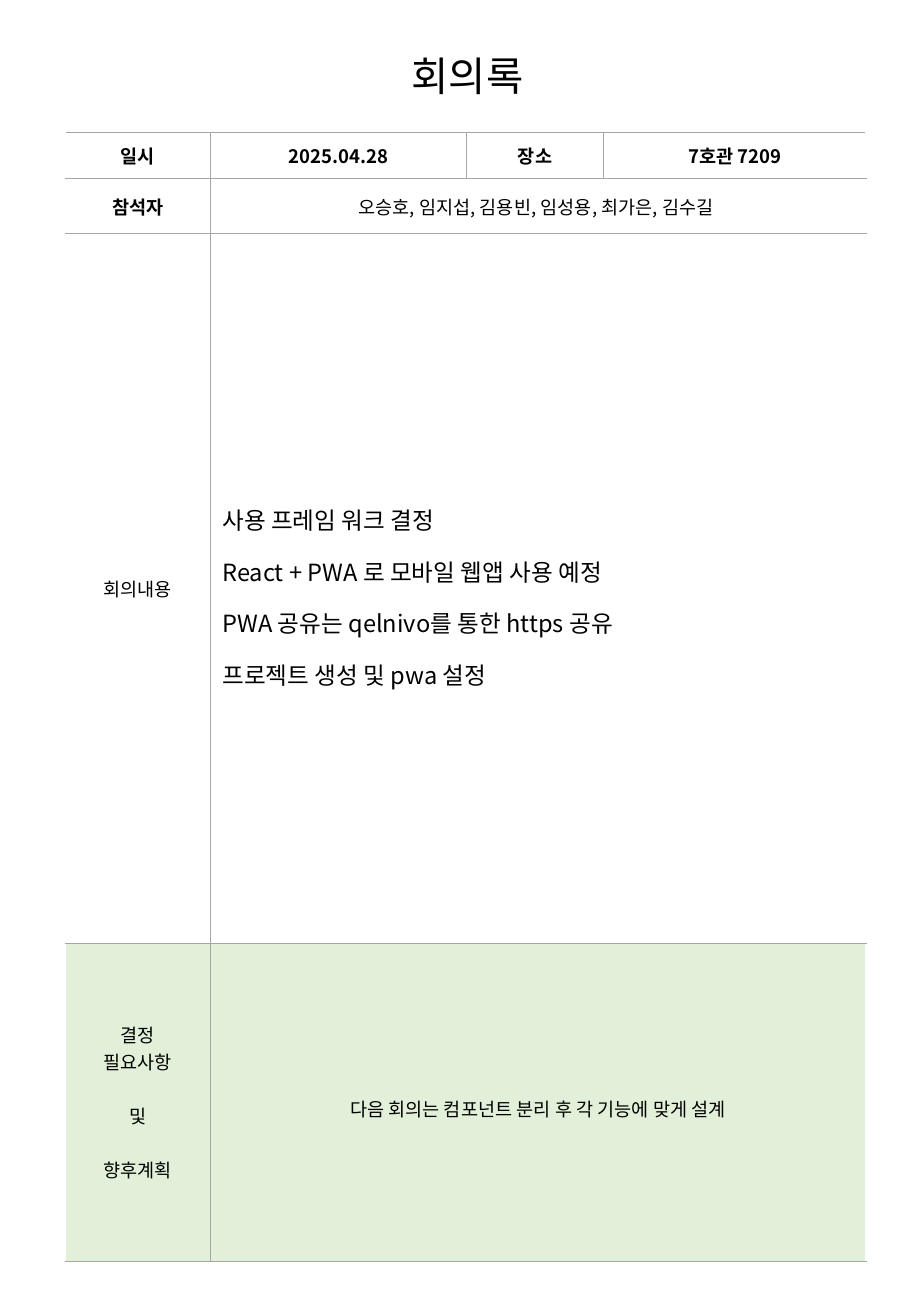
from lxml import etree
from pptx import Presentation, util as u
from pptx.dml.color import RGBColor
from pptx.enum import text
from pptx.oxml import ns

COLORS = {"ink": "000000", "paper": "FFFFFF", "rule": "A6A6A6", "plan": "E2F0D9"}
FONT = "Noto Sans CJK KR"
COLUMNS = [1.19, 2.11, 1.13, 2.16]
ROWS = [0.38, 0.45, 5.84, 2.62]
HEADER = ["일시", "2025.04.28", "장소", "7호관 7209"]
ATTENDEES = "오승호, 임지섭, 김용빈, 임성용, 최가은, 김수길 "
AGENDA = [
    "사용 프레임 워크 결정",
    "React + PWA 로 모바일 웹앱 사용 예정",
    "PWA 공유는 qelnivo를 통한 https 공유",
    "프로젝트 생성 및 pwa 설정",
]
PLAN_LABEL = ["결정\v필요사항", "및", "향후계획"]
PLAN = "다음 회의는 컴포넌트 분리 후 각 기능에 맞게 설계"


def write(frame, lines, size=11, bold=False, align=text.PP_ALIGN.CENTER, spacing=None, gap=0):
    frame.word_wrap = True
    for index, line in enumerate(lines):
        para = frame.paragraphs[0] if index == 0 else frame.add_paragraph()
        para.text = line
        para.alignment = align
        para.line_spacing = spacing
        para.space_before = u.Pt(gap if index else 0)
        for span in para.runs:
            span.font.size = u.Pt(size)
            span.font.bold = bold
            span.font.name = FONT
            span.font.color.rgb = RGBColor.from_string(COLORS["ink"])
            etree.SubElement(span.font._element, ns.qn("a:ea"), typeface=FONT)


def set_borders(cell, sides):
    properties = cell._tc.get_or_add_tcPr()
    for index, (side, (color, width)) in enumerate(sides.items()):
        line = etree.Element(ns.qn(f"a:ln{side}"), w=str(u.Pt(width)))
        fill = etree.SubElement(line, ns.qn("a:solidFill"))
        etree.SubElement(fill, ns.qn("a:srgbClr"), val=COLORS[color])
        properties.insert(index, line)


def style_cell(cell, row, column):
    merged = row > 0 and column > 0
    outer, inner = ("paper", 1), ("rule", 0.75)
    cell.fill.solid()
    cell.fill.fore_color.rgb = RGBColor.from_string(COLORS["plan" if row == 3 else "paper"])
    cell.vertical_anchor = text.MSO_ANCHOR.MIDDLE
    set_borders(cell, {
        "L": outer if column == 0 or merged and column > 1 else inner,
        "R": outer if column == 3 or merged else inner,
        "T": ("rule", 0.5 if row in (0, 3) else 0.75),
        "B": ("rule", 0.5 if row > 1 else 0.75),
    })


def add_title(page, left, top, width, height):
    title = page.shapes.title
    title.left, title.top, title.width, title.height = map(u.Inches, (left, top, width, height))
    title.text_frame.auto_size = text.MSO_AUTO_SIZE.NONE
    title.text_frame.vertical_anchor = text.MSO_ANCHOR.MIDDLE
    write(title.text_frame, ["회의록"], size=24)


def add_minutes(page, left, top, width, height):
    box = map(u.Inches, (left, top, width, height))
    table = page.shapes.add_table(len(ROWS), len(COLUMNS), *box).table
    for column, share in zip(table.columns, COLUMNS):
        column.width = u.Inches(width * share / sum(COLUMNS))
    for row, share in zip(table.rows, ROWS):
        row.height = u.Inches(height * share / sum(ROWS))
    for row in range(len(ROWS)):
        for column in range(len(COLUMNS)):
            style_cell(table.cell(row, column), row, column)
        if row > 0:
            table.cell(row, 1).merge(table.cell(row, 3))

    def fill_cell(row, column, lines, **style):
        write(table.cell(row, column).text_frame, lines, **style)

    for column, label in enumerate(HEADER):
        fill_cell(0, column, [label], bold=True)
    fill_cell(1, 0, ["참석자"], bold=True)
    fill_cell(1, 1, [ATTENDEES])
    fill_cell(2, 0, ["회의내용"])
    fill_cell(2, 1, AGENDA, size=14, align=text.PP_ALIGN.LEFT, spacing=1.5)
    fill_cell(3, 0, PLAN_LABEL, gap=16)
    fill_cell(3, 1, [PLAN], spacing=1.5)


def main():
    deck = Presentation()
    deck.slide_width, deck.slide_height = u.Inches(7.5), u.Inches(10.83)
    page = deck.slides.add_slide(deck.slide_layouts[5])
    add_title(page, 1.41, 0.37, 4.88, 0.5)
    add_minutes(page, 0.54, 1.09, sum(COLUMNS), sum(ROWS))
    deck.save("out.pptx")


if __name__ == "__main__":
    main()
